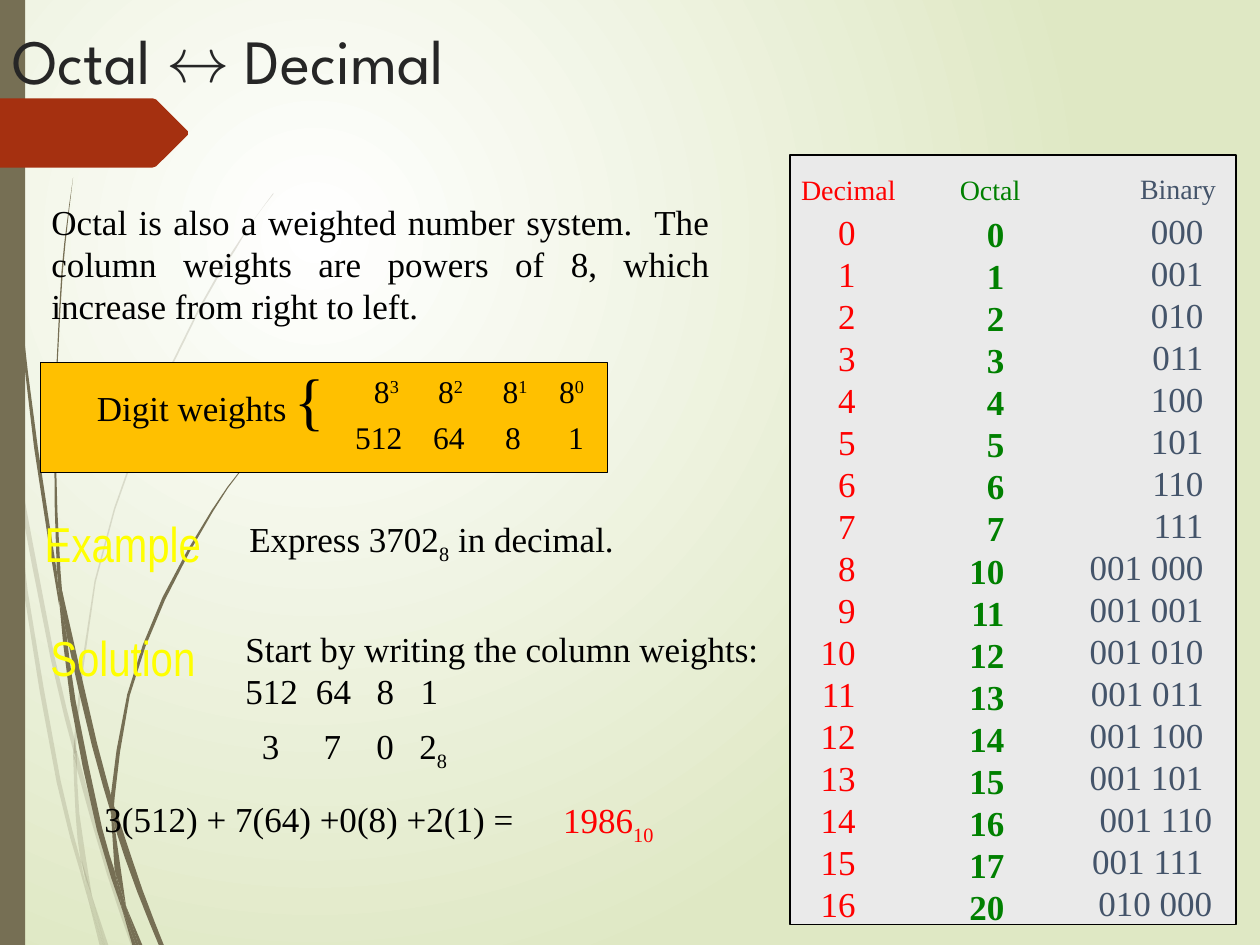
import pptx
import pptx.util
import pptx.dml.color
import pptx.enum.shapes
import pptx.enum.text
import pptx.oxml.ns
from lxml import etree

COLS, ROWS = 10, 7.5
CELL = pptx.util.Inches(1)
HUES = {"olive": "766F54", "rust": "A53010", "white": "FFFFFF", "sage": "DFE8C4",
        "yellow": "FFFF00", "black": "000000", "amber": "FFC000", "red": "FF0000",
        "green": "008000", "slate": "44546A", "grey": "EAEAEA", "ink": "262626"}
SERIF, NARROW, ROUND = "Times New Roman", "Arial Narrow", "League Spartan"
ALIGN = pptx.enum.text.PP_ALIGN

# Each blade is a left edge and a right edge, both from top to bottom.
PALE = [
    ([(0, 2.82), (0, 2.99), (.07, 3.44), (.08, 3.5)], [(0, 2.82), (.06, 3.22), (.08, 3.5)]),
    ([(.1, 3.45), (.12, 3.76), (.4, 5.22), (.59, 5.99)],
     [(.1, 3.45), (.43, 5.2), (.59, 5.86), (.59, 5.99)]),
    ([(.61, 5.96), (.61, 6.1), (.85, 6.94), (1.04, 7.5)],
     [(.61, 5.96), (.64, 6.07), (.88, 6.92), (1.08, 7.5)]),
    ([(.73, 7.11), (.83, 7.5)], [(.73, 7.11), (.86, 7.5)]),
    ([(.08, 3.5), (.19, 4.7), (.45, 6.21), (.64, 6.93), (.7, 7.14)],
     [(.08, 3.5), (.12, 3.76), (.22, 4.69), (.48, 6.19), (.64, 6.83), (.7, 7.14)]),
    ([(.58, 5.99), (.6, 6.46), (.64, 6.83), (.73, 7.11)],
     [(.58, 5.99), (.61, 6.08), (.63, 6.46), (.73, 7.11)]),
    ([(2.17, 1.53), (2.01, 1.75), (1.86, 1.97), (1.58, 2.44), (1.1, 3.48), (.75, 4.61),
      (.59, 5.84), (.61, 5.96)],
     [(2.17, 1.54), (2.01, 1.75), (1.87, 1.98), (1.59, 2.45), (1.11, 3.49), (.76, 4.62),
      (.61, 5.84), (.61, 5.96)]),
    ([(.7, 7.14), (.79, 7.5)], [(.7, 7.14), (.82, 7.5)]),
    ([(.59, 5.86), (.58, 5.99), (.61, 6.08)], [(.59, 5.86), (.61, 5.96), (.61, 6.1)]),
    ([(.65, 6.83), (.7, 7.14), (.82, 7.5)], [(.65, 6.83), (.73, 7.11), (.83, 7.5)]),
]
DARK = [
    ([(.02, 0), (.03, .48), (.05, 1.1), (.14, 2.33), (.27, 3.55), (.47, 4.81)],
     [(.03, 0), (.04, .48), (.06, 1.09), (.15, 2.32), (.3, 3.55), (.45, 4.53), (.47, 4.81)]),
    ([(.5, 4.72), (.53, 5.05), (.73, 5.92), (.88, 6.45)],
     [(.5, 4.72), (.77, 5.9), (.88, 6.31), (.88, 6.45)]),
    ([(.91, 6.41), (.91, 6.56), (1.09, 7.08), (1.26, 7.5)],
     [(.91, 6.41), (.94, 6.49), (1.13, 7.06), (1.3, 7.5)]),
    ([(.47, 4.77), (.56, 5.57), (.77, 6.59), (.97, 7.22)],
     [(.47, 4.77), (.53, 5.05), (.6, 5.56), (.81, 6.57), (.91, 6.91), (.97, 7.22)]),
    ([(.58, 1.41), (.51, 1.93), (.47, 2.45), (.43, 3.49), (.45, 4.49), (.49, 4.72)],
     [(.58, 1.41), (.52, 1.93), (.48, 2.45), (.44, 3.49), (.48, 4.53), (.5, 4.72)]),
    ([(1, 7.19), (1.1, 7.5)], [(1, 7.19), (1.13, 7.5)]),
    ([(.45, 4.49), (.47, 4.77), (.53, 5.05)], [(.45, 4.49), (.5, 4.72), (.53, 5.05)]),
    ([(2.15, 3.44), (1.91, 3.73), (1.68, 4.05), (1.29, 4.74), (1.01, 5.51), (.88, 6.31),
      (.91, 6.41)],
     [(2.16, 3.44), (1.91, 3.74), (1.69, 4.06), (1.31, 4.76), (1.03, 5.52), (.91, 6.33),
      (.91, 6.41)]),
    ([(.97, 7.22), (1.05, 7.5)], [(.97, 7.22), (1.08, 7.5)]),
    ([(.88, 6.45), (.91, 6.91), (1, 7.19)], [(.88, 6.45), (.91, 6.56), (1, 7.19)]),
    ([(.88, 6.31), (.88, 6.45), (.91, 6.56)], [(.88, 6.31), (.91, 6.41), (.91, 6.56)]),
    ([(.91, 6.91), (.97, 7.22), (1.08, 7.5)], [(.91, 6.91), (1, 7.19), (1.1, 7.5)]),
]


def rgb(hue):
    return pptx.dml.color.RGBColor.from_string(HUES[hue])


def qn(tag):
    return pptx.oxml.ns.qn(tag)


def cells(*sizes):
    return [round(size * CELL) for size in sizes]


def paint(shape, hue, edge=None):
    shape.shadow.inherit = False
    shape.fill.solid()
    shape.fill.fore_color.rgb = rgb(hue)
    if edge:
        shape.line.color.rgb = rgb(edge)
        shape.line.width = pptx.util.Pt(.75)
    else:
        shape.line.fill.background()
    return shape


def block(slide, box, hue, edge=None):
    kind = pptx.enum.shapes.MSO_SHAPE.RECTANGLE
    return paint(slide.shapes.add_shape(kind, *cells(*box)), hue, edge)


def outline(slide, box, points, hue):
    spots = [cells(box[0] + x, box[1] + y) for x, y in points]
    pen = slide.shapes.build_freeform(*spots[0])
    pen.add_line_segments(spots[1:], close=True)
    return paint(pen.convert_to_shape(), hue)


def smooth(knots):
    """The knots, with the midpoints of a Catmull-Rom curve between them."""
    if len(knots) < 4:
        return knots
    ends = [knots[0], *knots, knots[-1]]
    curve = []
    for a, b, c, d in zip(ends, ends[1:], ends[2:], ends[3:]):
        curve += [b, tuple((9 * (q + r) - p - s) / 16 for p, q, r, s in zip(a, b, c, d))]
    return curve + [knots[-1]]


def write(slide, box, lines, size=20, hue="black", font=SERIF, align=ALIGN.LEFT,
          bold=False, tabs=()):
    """Each line is a list of runs; a leading ^ raises a run and _ lowers it."""
    frame = slide.shapes.add_textbox(*cells(*box)).text_frame
    frame.word_wrap = True
    for i, runs in enumerate(lines):
        para = frame.add_paragraph() if i else frame.paragraphs[0]
        para.alignment = align
        if font != ROUND:
            low = any(text[0] == "_" for text in runs)
            para.line_spacing = pptx.util.Pt(size * (1.4 if low else 1.2))
        if tabs:
            stops = etree.SubElement(para._p.get_or_add_pPr(), qn("a:tabLst"))
            for stop in tabs:
                etree.SubElement(stops, qn("a:tab"), pos=str(round(stop * CELL)), algn="l")
        for text in runs:
            run = para.add_run()
            run.text = text.lstrip("^_")
            run.font.name, run.font.size, run.font.bold = font, pptx.util.Pt(size), bold
            run.font.color.rgb = rgb(hue)
            shift = {"^": "30000", "_": "-25000"}.get(text[0])
            if shift:
                run._r.get_or_add_rPr().set("baseline", shift)
    return frame


def backdrop(slide, box):
    fill = slide.background.fill
    fill.gradient()
    for stop, hue in zip(fill.gradient_stops, ("white", "sage")):
        stop.color.rgb = rgb(hue)
    grad = next(slide.element.iter(qn("a:gradFill")))
    grad.remove(grad.find(qn("a:lin")))
    ring = etree.SubElement(grad, qn("a:path"), {"path": "circle"})
    etree.SubElement(ring, qn("a:fillToRect"), l="50000", t="50000", r="100000", b="100000")
    for blades, alpha in ((PALE, "20000"), (DARK, None)):
        for left, right in blades:
            blade = outline(slide, box, smooth(left) + smooth(right)[::-1], "olive")
            if alpha:
                tint = next(blade._element.iter(qn("a:srgbClr")))
                etree.SubElement(tint, qn("a:alpha"), val=alpha)
    x, y, wide, high = box
    block(slide, (x, y, wide * .02, high), "olive")
    tip = [(0, .78), (1.21, .78), (1.24, .79), (1.49, 1.04), (1.49, 1.07), (1.24, 1.32),
           (1.21, 1.33), (0, 1.33)]
    outline(slide, box, tip, "rust")


def weights(slide, box):
    x, y, wide, high = box
    block(slide, box, "amber", "black")
    write(slide, (x + .35, y + .14, 2.33, .43), [["Digit weights"]])
    write(slide, (x + 1.92, y - .07, .39, .7), [["{"]], 36)
    write(slide, (x + 2.55, y + .02, 2.07, .4),
          [["8", "^3", "\t8", "^2", "\t8", "^1", "\t8", "^0"]], 18, tabs=(.51, 1.02, 1.47))
    write(slide, (x + 2.4, y + .39, 2.16, .4), [["512\t64\t8\t1"]], 18, tabs=(.62, 1.19, 1.69))


def example(slide, box):
    x, y, wide, high = box
    for row, word in ((0, "Example"), (.9, "Solution")):
        label = write(slide, (x, y + row, 1.33, .46), [[word]], 28, "yellow", NARROW,
                      ALIGN.CENTER)
        label.margin_left = label.margin_right = 0
    write(slide, (x + 1.57, y + .02, 4.25, .43), [["Express 3702", "_8", " in decimal."]])
    write(slide, (x + 1.54, y + .9, 4.33, .77),
          [["Start by writing the column weights:"], ["512\t64\t8\t1"]], tabs=(.56, 1.04, 1.39))
    write(slide, (x + 1.67, y + 1.66, 2.83, .43), [["3\t7\t0\t2", "_8"]], tabs=(.49, .91, 1.25))
    write(slide, (x + .42, y + 2.25, 5.25, .43), [["3(512) + 7(64) +0(8) +2(1) ="]])
    write(slide, (x + 4.06, y + 2.25, 1.25, .43), [["1986", "_10"]], hue="red")


def bits(n):
    groups = f"{n >> 3:03b} {n & 7:03b}" if n > 7 else f"{n:03b}"
    return groups if n in (14, 16) else groups + " "


def chart(slide, box):
    """Counting table in three bases."""
    x, y, wide, high = box
    block(slide, box, "grey", "black")
    for name, hue, head, left, top, span, show in (
            ("Decimal", "red", (-.01, .09, 1.5), .12, .39, .5, str),
            ("Octal", "green", (1.25, .09, 1.5), 1.3, .41, .5, "{:o}".format),
            ("Binary", "slate", (2.68, .08, .93), 2.05, .38, 1.4, bits)):
        write(slide, (x + head[0], y + head[1], head[2], .37), [[name]], 16, hue)
        write(slide, (x + left, y + top, span, 5.82), [[show(n)] for n in range(17)],
              hue=hue, align=ALIGN.RIGHT, bold=name == "Octal")


def main():
    deck = pptx.Presentation()
    deck.slide_width, deck.slide_height = cells(COLS, ROWS)
    slide = deck.slides.add_slide(deck.slide_layouts[6])
    backdrop(slide, (0, 0, COLS, ROWS))
    write(slide, (.31, 1.54, 5.42, 1.11),
          [["Octal is also a weighted number system.  The column weights are powers of 8, "
            "which increase from right to left."]], align=ALIGN.JUSTIFY)
    weights(slide, (.32, 2.88, 4.5, .87))
    example(slide, (.31, 4.03, 5.87, 2.68))
    write(slide, (0, .12, COLS, .88), [["Octal ↔ Decimal"]], 36, "ink", ROUND)
    chart(slide, (6.27, 1.23, 3.54, 6.11))
    deck.save("out.pptx")


if __name__ == "__main__":
    main()
